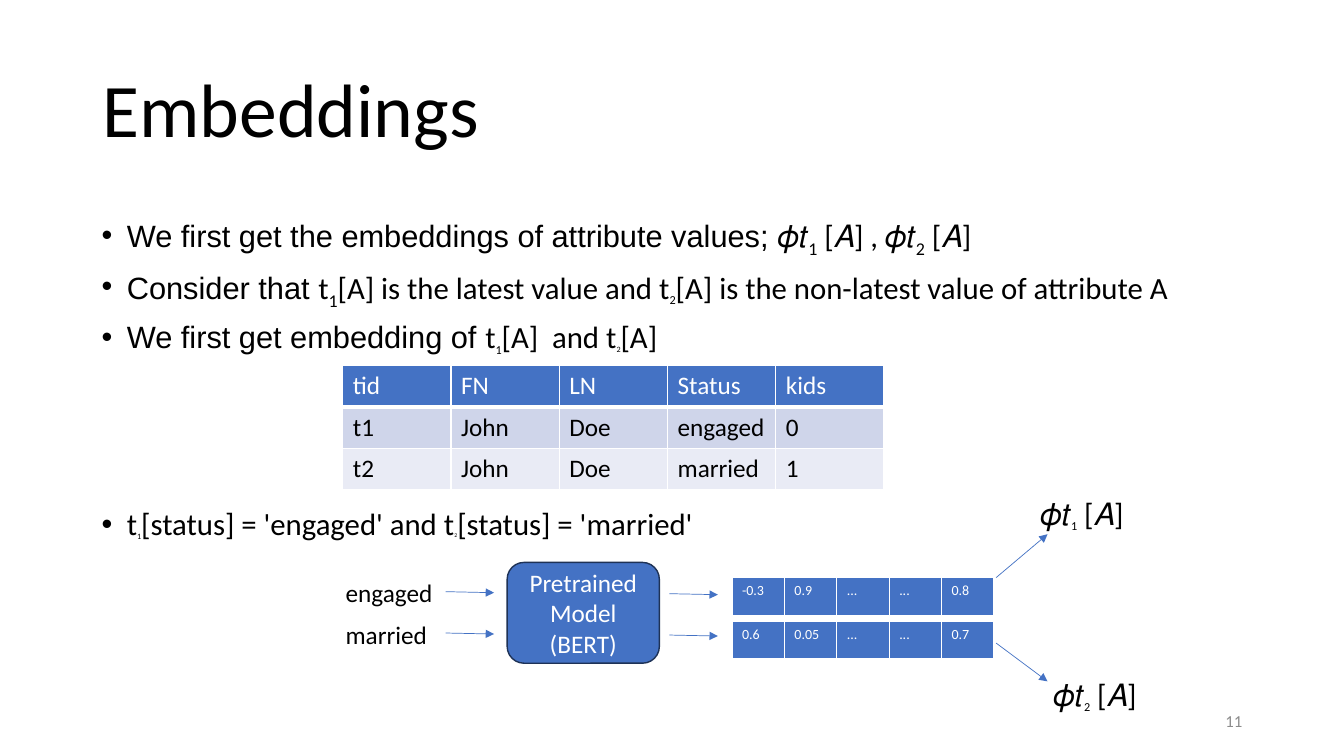
from lxml.etree import SubElement
from pptx import Presentation
from pptx.dml.color import RGBColor
from pptx.enum.shapes import MSO_CONNECTOR, MSO_SHAPE
from pptx.enum.text import MSO_ANCHOR as Anchor, PP_ALIGN as Align
from pptx.oxml.ns import qn
from pptx.util import Inches, Pt

BLUE = RGBColor(0x44, 0x72, 0xC4)
NAVY = RGBColor(0x1E, 0x32, 0x56)
BAND_DARK = RGBColor(0xCF, 0xD5, 0xEA)
BAND_LIGHT = RGBColor(0xE9, 0xEB, 0xF5)
GREY = RGBColor(0x8C, 0x8C, 0x8C)
BLACK = RGBColor(0, 0, 0)
WHITE = RGBColor(0xFF, 0xFF, 0xFF)

# Content: a run is (text, font, size), with True added for a subscript
ARIAL, CALIBRI = "Arial", "Calibri"


def main_run(text, font=CALIBRI):
    return (text, font, 22)


def sub_run(text, size=22):
    return (text, CALIBRI, size, True)


TITLE = [("Embeddings", CALIBRI, 54)]
TOP_BULLETS = [
    [main_run("We first get the embeddings of attribute values; ", ARIAL),
     main_run("𝜙𝑡"), sub_run("1"), main_run(" [𝐴] , 𝜙𝑡"), sub_run("2"),
     main_run(" [𝐴]")],
    [main_run("Consider that ", ARIAL), main_run("t"), sub_run("1"),
     main_run("[A] is the latest value and t"), sub_run("2", 15),
     main_run("[A] is the non-latest value of attribute A")],
    [main_run("We first get embedding of ", ARIAL), main_run("t"),
     sub_run("1", 15), main_run("[A]  and t"), sub_run("2", 10),
     main_run("[A]")],
]
STATUS_BULLET = [
    [main_run("t"), sub_run("1", 10), main_run("[status] = 'engaged' and t"),
     sub_run("2", 7), main_run("[status] = 'married'")],
]
PEOPLE = [
    ["tid", "FN", "LN", "Status", "kids"],
    ["t1", "John", "Doe", "engaged", "0"],
    ["t2", "John", "Doe", "married", "1"],
]
STATUSES = ["engaged", "married"]
VECTORS = [["-0.3", "0.9", "...", "...", "0.8"],
           ["0.6", "0.05", "...", "...", "0.7"]]
PHI_LABELS = [("1", 10.22, 4.86), ("2", 10.35, 6.65)]
PHI_ARROWS = [(9.88, 5.73, 10.39, 5.3), (9.88, 6.38, 10.39, 6.76)]
MODEL = "Pretrained Model (BERT)"
PAGE_NUMBER = "11"

# Layout of the two flow rows
FLOW_TOP, FLOW_STEP = 5.68, 0.41
VECTOR_TOP, VECTOR_STEP = 5.73, 0.43
ARROWS = [(4.42, 5.87), (6.64, 5.89)]
ARROW_LENGTH = 0.48

deck = Presentation()
deck.slide_width, deck.slide_height = Inches(13.33), Inches(7.5)
page = deck.slides.add_slide(deck.slide_layouts[6])


def write_runs(para, runs, color):
    for text, font, size, *subscript in runs:
        span = para.add_run()
        span.text = text
        span.font.name, span.font.size = font, Pt(size)
        span.font.color.rgb = color
        if subscript:
            span.font._element.set("baseline", "-25000")


def add_text(place, paragraphs, color=BLACK, align=Align.LEFT,
             anchor=Anchor.TOP, bullets=False, spacing=1.0):
    frame = page.shapes.add_textbox(*map(Inches, place)).text_frame
    frame.word_wrap = True
    frame.vertical_anchor = anchor
    for index, runs in enumerate(paragraphs):
        para = frame.add_paragraph() if index else frame.paragraphs[0]
        para.alignment, para.line_spacing = align, spacing
        write_runs(para, runs, color)
        if bullets:
            para.space_before = Pt(10)
            props = para._p.get_or_add_pPr()
            props.set("marL", str(Inches(0.25)))
            props.set("indent", str(-Inches(0.25)))
            SubElement(props, qn("a:buFont"), typeface=ARIAL)
            SubElement(props, qn("a:buChar"), char="•")


def add_border(cell, side, width):
    line = SubElement(cell._tc.get_or_add_tcPr(), qn("a:" + side),
                      w=str(Pt(width)))
    fill = SubElement(line, qn("a:solidFill"))
    SubElement(fill, qn("a:srgbClr"), val=str(WHITE))


def add_grid(left, top, column, row, rows, size):
    """Table with a blue first row and banded rows below it."""
    count = len(rows[0])
    grid = page.shapes.add_table(
        len(rows), count, Inches(left), Inches(top),
        Inches(column * count), Inches(row * len(rows))).table
    grid.first_row = grid.horz_banding = False
    for grid_column in grid.columns:
        grid_column.width = Inches(column)
    for r, values in enumerate(rows):
        grid.rows[r].height = Inches(row)
        for c, value in enumerate(values):
            cell = grid.cell(r, c)
            for side in ("lnL", "lnR", "lnT", "lnB"):
                add_border(cell, side, 3 if side == "lnB" and r == 0 else 1)
            cell.fill.solid()
            cell.fill.fore_color.rgb = (
                BLUE if r == 0 else BAND_DARK if r % 2 else BAND_LIGHT)
            write_runs(cell.text_frame.paragraphs[0],
                       [(value, CALIBRI, size)], BLACK if r else WHITE)


def add_arrow(*ends):
    arrow = page.shapes.add_connector(MSO_CONNECTOR.STRAIGHT,
                                      *map(Inches, ends))
    arrow.line.color.rgb = BLUE
    arrow.line.width = Pt(0.5)
    SubElement(arrow.line._get_or_add_ln(), qn("a:tailEnd"), type="triangle")
    SubElement(arrow._element.spPr, qn("a:effectLst"))


# Title and bullets
add_text((0.92, 0.4, 11.5, 1.45), [TITLE], anchor=Anchor.MIDDLE, spacing=0.9)
add_text((0.91, 2.11, 11.49, 1.5), TOP_BULLETS, bullets=True, spacing=0.9)
add_text((0.91, 5.0, 8, 0.5), STATUS_BULLET, bullets=True, spacing=0.9)

# Table of people
add_grid(3.4, 3.63, 1.074, 0.41, PEOPLE, 18)

# Model box
model = page.shapes.add_shape(MSO_SHAPE.ROUNDED_RECTANGLE, Inches(5.03),
                              Inches(5.58), Inches(1.51), Inches(1))
model.shadow.inherit = False
model.fill.solid()
model.fill.fore_color.rgb = BLUE
model.line.color.rgb = NAVY
model.line.width = Pt(1)
model.text_frame.word_wrap = True
model.text_frame.vertical_anchor = Anchor.MIDDLE
model_para = model.text_frame.paragraphs[0]
model_para.alignment = Align.CENTER
write_runs(model_para, [(MODEL, CALIBRI, 18)], WHITE)

# Flow rows: status, arrows in and out of the model, vector
for row, (status, vector) in enumerate(zip(STATUSES, VECTORS)):
    shift = row * FLOW_STEP
    add_text((3.33, FLOW_TOP + shift, 1.14, 0.4), [[(status, CALIBRI, 18)]])
    for x, y in ARROWS:
        add_arrow(x, y + shift, x + ARROW_LENGTH, y + shift + 0.01)
    add_grid(7.26, VECTOR_TOP + row * VECTOR_STEP, 0.52, 0.39, [vector], 10)

# Embedding labels and the arrows to them
for (number, left, top), ends in zip(PHI_LABELS, PHI_ARROWS):
    add_arrow(*ends)
    add_text((left, top, 1.14, 0.47),
             [[main_run("𝜙𝑡"), sub_run(number, 15), main_run(" [𝐴]")]])

# Page number
add_text((9.42, 6.95, 3, 0.4), [[(PAGE_NUMBER, CALIBRI, 12)]], GREY,
         Align.RIGHT, Anchor.MIDDLE)

deck.save("out.pptx")
